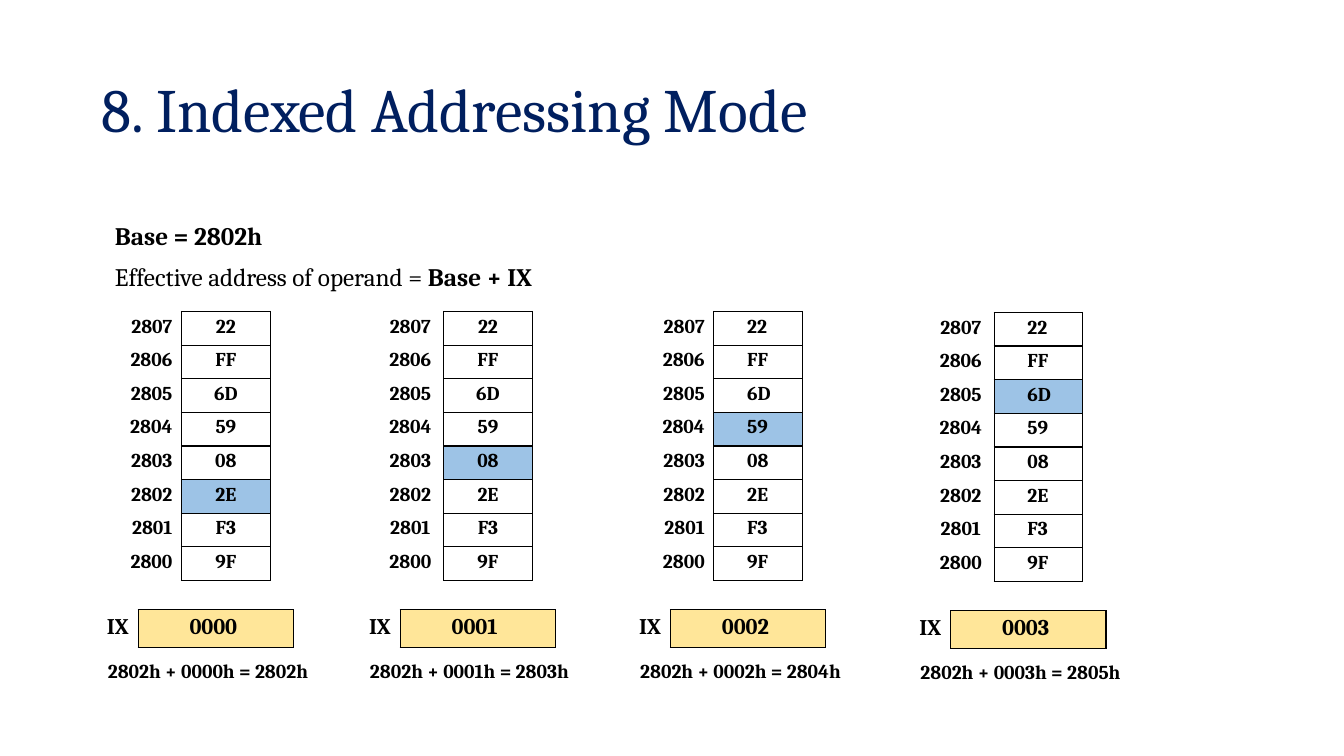
from dataclasses import dataclass
from typing import Optional

from lxml.etree import SubElement
from pptx import Presentation
from pptx.dml.color import RGBColor
from pptx.enum.text import PP_ALIGN
from pptx.oxml.ns import qn
from pptx.slide import Slide
from pptx.table import Table, _Cell
from pptx.text.text import TextFrame
from pptx.util import Inches, Pt

BLACK = RGBColor(0x00, 0x00, 0x00)
NAVY = RGBColor(0x00, 0x1F, 0x5F)
OPERAND_BLUE = RGBColor(0x9D, 0xC3, 0xE6)
REGISTER_YELLOW = RGBColor(0xFF, 0xE6, 0x99)

BASE = 0x2802
TOP_ADDRESS = 0x2807
MEMORY = ["22", "FF", "6D", "59", "08", "2E", "F3", "9F"]
MEMORY_HEIGHT = 2.67
FRAME = ["L", "R", "T", "B"]


@dataclass(frozen=True)
class CellStyle:
    size: int
    align: PP_ALIGN = PP_ALIGN.LEFT
    left: float = 0
    right: float = 0


@dataclass(frozen=True)
class Panel:
    index: int
    left: float
    address: CellStyle
    value: CellStyle
    drop: float = 0


ADDRESS_RIGHT = CellStyle(14, PP_ALIGN.RIGHT, right=0.09)
ADDRESS_CENTER = CellStyle(14, PP_ALIGN.CENTER, left=0.04)
VALUE_CENTER = CellStyle(14, PP_ALIGN.CENTER)
VALUE_LEFT = CellStyle(14, left=0.33)
REGISTER_NAME = CellStyle(16, left=0.14)
REGISTER_VALUE = CellStyle(16, left=0.51)

PANELS = [
    Panel(0, 0.92, ADDRESS_RIGHT, VALUE_CENTER),
    Panel(1, 3.52, ADDRESS_CENTER, VALUE_CENTER),
    Panel(2, 6.2, ADDRESS_RIGHT, VALUE_LEFT),
    Panel(3, 8.98, ADDRESS_CENTER, VALUE_LEFT, drop=0.01),
]


def format_runs(frame: TextFrame, size: int, color: RGBColor, bold: bool) -> None:
    for paragraph in frame.paragraphs:
        for run in paragraph.runs:
            run.font.name = "Cambria"
            run.font.size = Pt(size)
            run.font.bold = bold
            run.font.color.rgb = color


def add_text(slide: Slide, left: float, top: float, width: float, height: float,
             text: str, size: int, color: RGBColor = BLACK, bold: bool = False) -> TextFrame:
    frame = slide.shapes.add_textbox(
        Inches(left), Inches(top), Inches(width), Inches(height)).text_frame
    frame.word_wrap = True
    frame.margin_left = frame.margin_top = frame.margin_right = frame.margin_bottom = 0
    frame.text = text
    format_runs(frame, size, color, bold)
    return frame


def add_plain_table(slide: Slide, left: float, top: float, widths: list[float],
                    height: float, rows: int) -> Table:
    table = slide.shapes.add_table(rows, len(widths), Inches(left), Inches(top),
                                   Inches(sum(widths)), Inches(height)).table
    table.first_row = table.horz_banding = False
    for column, width in zip(table.columns, widths):
        column.width = Inches(width)
    for row in table.rows:
        row.height = Inches(height / rows)
    return table


def fill_cell(cell: _Cell, text: str, style: CellStyle, sides: list[str],
              fill: Optional[RGBColor] = None) -> None:
    cell.margin_left, cell.margin_right = Inches(style.left), Inches(style.right)
    cell.margin_top, cell.margin_bottom = Inches(0.04), 0
    cell.text_frame.text = text
    cell.text_frame.paragraphs[0].alignment = style.align
    format_runs(cell.text_frame, style.size, BLACK, True)
    # Borders come before the fill in the cell properties
    properties = cell._tc.get_or_add_tcPr()
    for side in sides:
        line = SubElement(properties, qn(f"a:ln{side}"), w=str(Pt(1)))
        SubElement(SubElement(line, qn("a:solidFill")), qn("a:srgbClr"), val=str(BLACK))
    if fill is None:
        cell.fill.background()
    else:
        cell.fill.solid()
        cell.fill.fore_color.rgb = fill


def draw_panel(slide: Slide, panel: Panel) -> None:
    effective = BASE + panel.index

    # Memory column with the operand highlighted
    memory = add_plain_table(slide, panel.left + 0.18, 3.09 + panel.drop,
                             [0.7, 0.88], MEMORY_HEIGHT, len(MEMORY))
    for row, content in enumerate(MEMORY):
        address = TOP_ADDRESS - row
        fill_cell(memory.cell(row, 0), f"{address:04X}", panel.address, ["R"])
        fill_cell(memory.cell(row, 1), content, panel.value, FRAME,
                  OPERAND_BLUE if address == effective else None)

    # Index register
    register = add_plain_table(slide, panel.left, 6.05 + panel.drop, [0.45, 1.54], 0.37, 1)
    fill_cell(register.cell(0, 0), "IX", REGISTER_NAME, ["R"])
    fill_cell(register.cell(0, 1), f"{panel.index:04X}", REGISTER_VALUE, FRAME,
              REGISTER_YELLOW)

    # Effective address sum
    add_text(slide, panel.left + 0.15, 6.54 + panel.drop, 2.16, 0.24,
             f"{BASE:04X}h + {panel.index:04X}h = {effective:04X}h", 14, bold=True)


def main() -> None:
    presentation = Presentation()
    presentation.slide_width, presentation.slide_height = Inches(13.33), Inches(7.5)
    slide = presentation.slides.add_slide(presentation.slide_layouts[6])

    # Title
    add_text(slide, 1.01, 0.7, 7.38, 0.75, "8. Indexed Addressing Mode", 44, NAVY)

    # Addressing rule
    rule = add_text(slide, 1.14, 2.19, 4.34, 0.72,
                    f"Base = {BASE:04X}h\nEffective address of operand = ", 18)
    base_line, formula_line = rule.paragraphs
    formula_line.space_before = Pt(7.5)
    formula_line.add_run().text = "Base + IX"
    format_runs(rule, 18, BLACK, True)
    formula_line.runs[0].font.bold = False

    for panel in PANELS:
        draw_panel(slide, panel)

    presentation.save("out.pptx")


if __name__ == "__main__":
    main()
